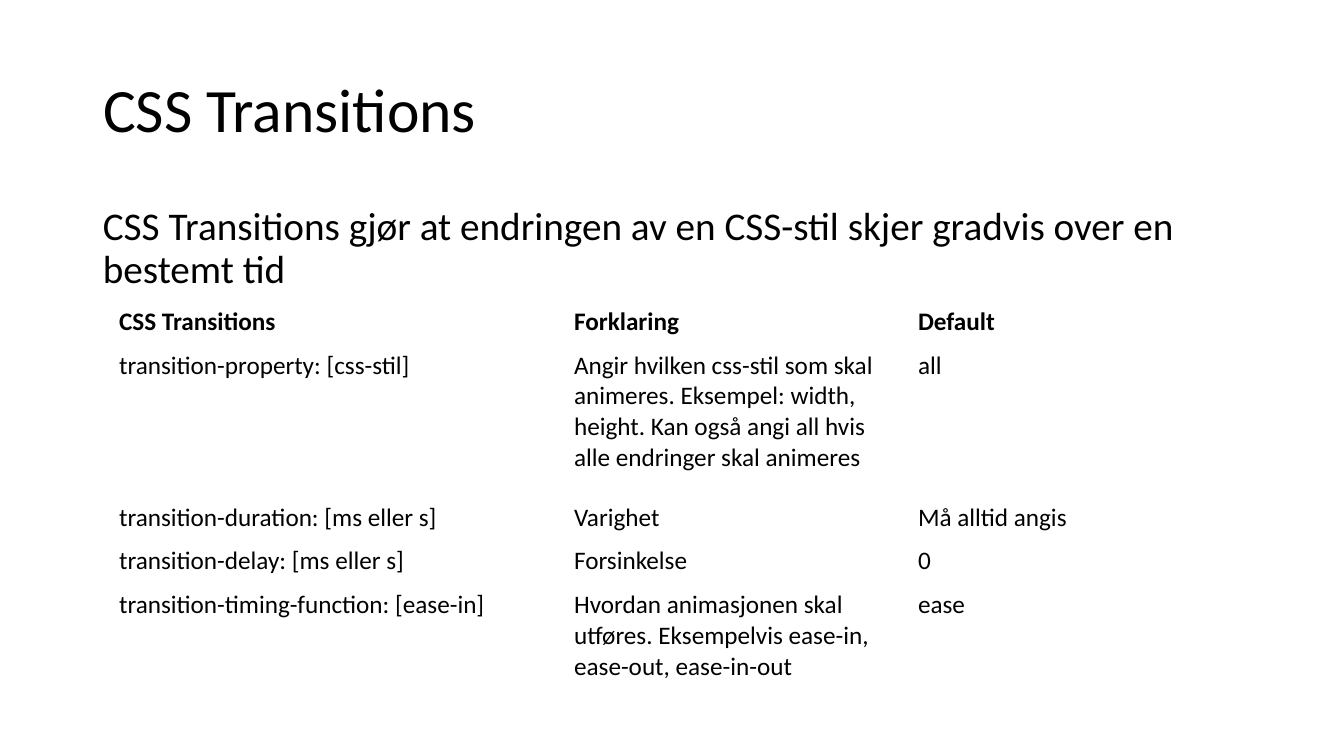
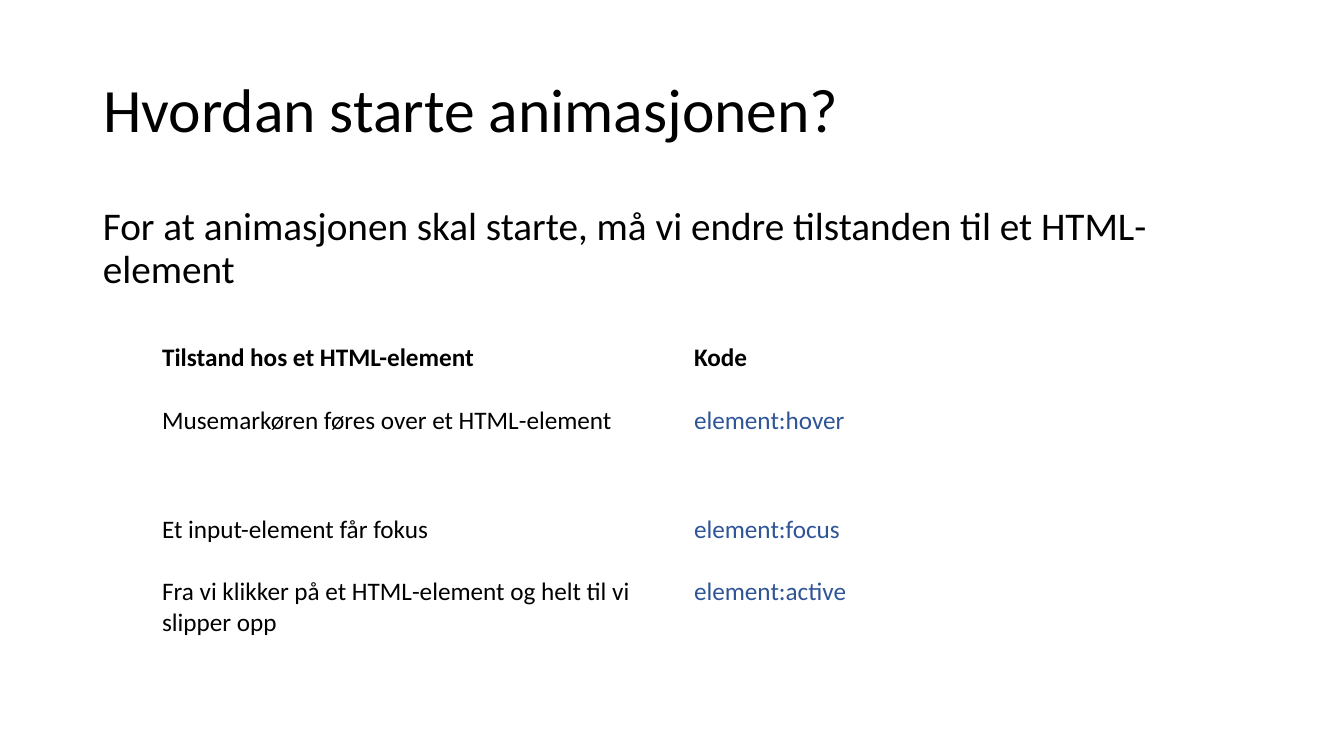
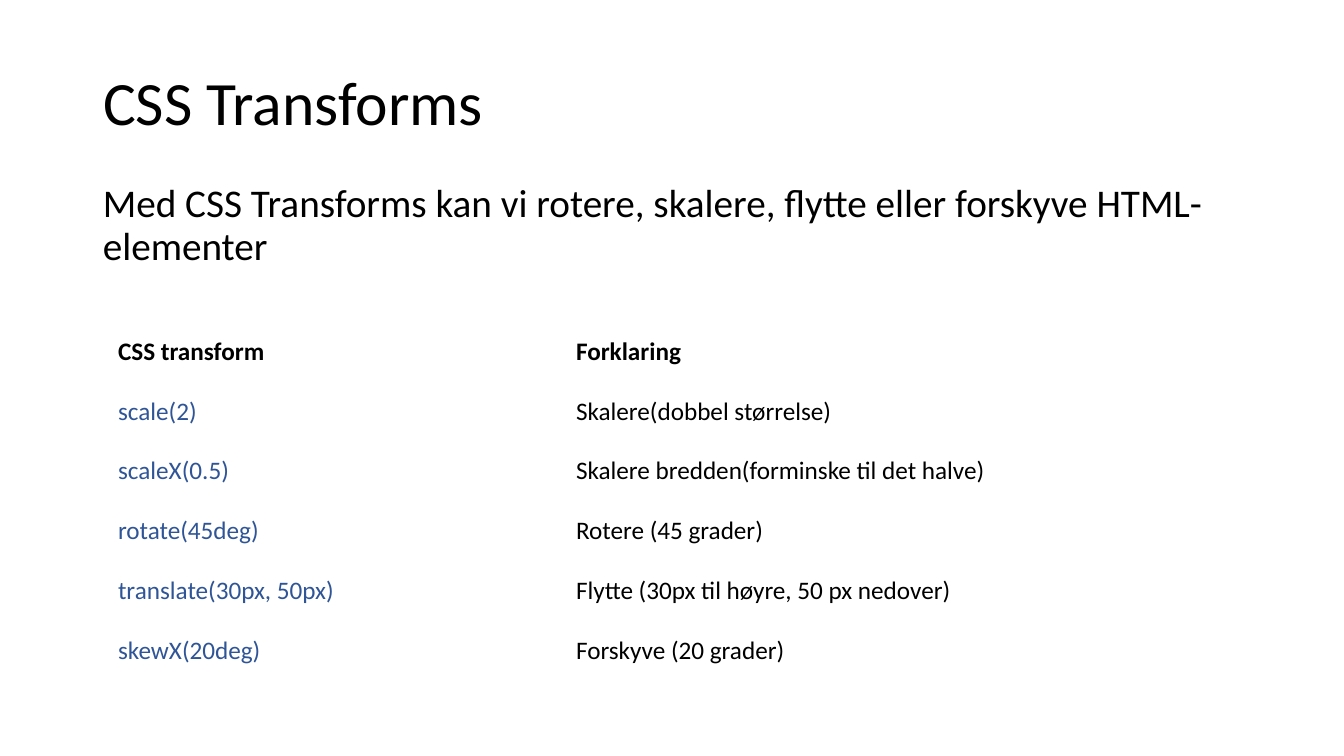
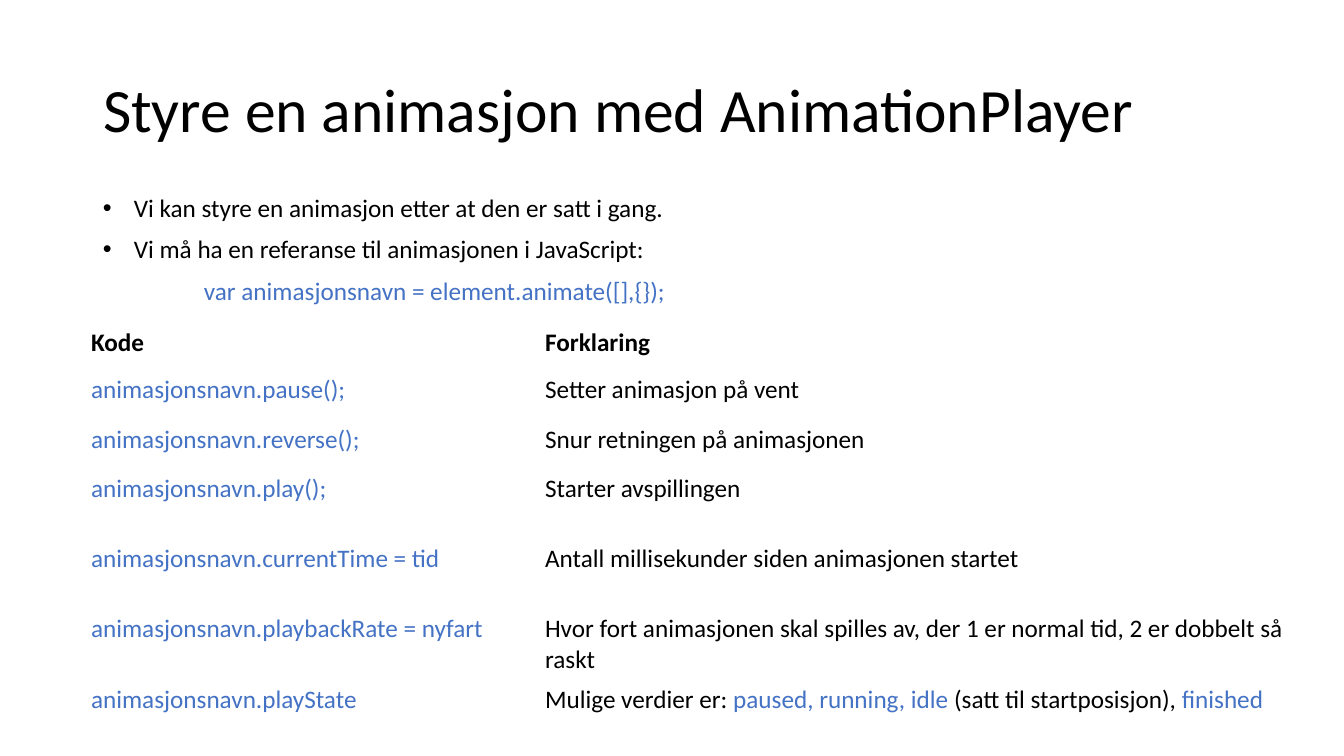
from pptx import Presentation
from pptx.dml.color import RGBColor
from pptx.enum.text import MSO_ANCHOR, MSO_AUTO_SIZE, PP_ALIGN
from pptx.util import Emu, Pt
from lxml import etree

FONT = "Calibri"
BLACK, NAVY, BLUE = "000000", "2F5597", "4472C4"
A = "{http://schemas.openxmlformats.org/drawingml/2006/main}"
LEFT, WIDTH = 93, 1159
INDENT = 31


def px(pixels):
    """Turn whole pixels into EMU."""
    return Emu(round(pixels * 914400 / 100.8))


def write(paragraph, text, size, code_color=BLACK, bold=False):
    """Add text to a paragraph; parts between backticks get the code colour."""
    for i, part in enumerate(text.split("`")):
        if part:
            run = paragraph.add_run()
            run.text = part
            font = run.font
            font.name, font.size, font.bold = FONT, Pt(size), bold
            font.color.rgb = RGBColor.from_string(code_color if i % 2 else BLACK)


# Body paragraphs are (style, text); text between backticks is code.
slides = [
    dict(
        title="CSS Transitions", title_top=40, body=(202, 480), body_size=28, code=NAVY,
        paragraphs=[("plain", "CSS Transitions gjør at endringen av en CSS-stil "
                              "skjer gradvis over en bestemt tid")],
        table_at=(109, 301), cols=[455, 344, 344], rows=[44, 152, 44, 44, 109],
        cells=[
            ("CSS Transitions", "Forklaring", "Default"),
            ("transition-property: [css-stil]",
             "Angir hvilken css-stil som skal animeres. Eksempel: width, height. "
             "Kan også angi all hvis alle endringer skal animeres", "all"),
            ("transition-duration: [ms eller s]", "Varighet", "Må alltid angis"),
            ("transition-delay: [ms eller s]", "Forsinkelse", "0"),
            ("transition-timing-function: [ease-in]",
             "Hvordan animasjonen skal utføres. Eksempelvis ease-in, ease-out, "
             "ease-in-out", "ease"),
        ],
    ),
    dict(
        title="Hvordan starte animasjonen?", title_top=40, body=(202, 480), body_size=28,
        code=NAVY,
        paragraphs=[("plain", "For at animasjonen skal starte, må vi endre tilstanden "
                              "til et HTML-element")],
        table_at=(152, 337), cols=[532, 532], rows=[63, 109, 63, 109],
        cells=[
            ("Tilstand hos et HTML-element", "Kode"),
            ("Musemarkøren føres over et HTML-element", "`element:hover`"),
            ("Et input-element får fokus", "`element:focus`"),
            ("Fra vi klikker på et HTML-element og helt til vi slipper opp",
             "`element:active`"),
        ],
    ),
    dict(
        title="CSS Transforms", title_top=33, body=(179, 480), body_size=28, code=NAVY,
        paragraphs=[("plain", "Med CSS Transforms kan vi rotere, skalere, flytte eller "
                              "forskyve HTML-elementer")],
        table_at=(108, 331), cols=[458, 663], rows=[60] * 6,
        cells=[
            ("CSS transform", "Forklaring"),
            ("`scale(2)`", "Skalere(dobbel størrelse)"),
            ("`scaleX(0.5)`", "Skalere bredden(forminske til det halve)"),
            ("`rotate(45deg)`", "Rotere (45 grader)"),
            ("`translate(30px, 50px)`", "Flytte (30px til høyre, 50 px nedover)"),
            ("`skewX(20deg)`", "Forskyve (20 grader)"),
        ],
    ),
    dict(
        title="Styre en animasjon med AnimationPlayer", title_top=40, body=(191, 127),
        body_size=18, code=BLUE,
        paragraphs=[
            ("bullet", "Vi kan styre en animasjon etter at den er satt i gang."),
            ("bullet", "Vi må ha en referanse til animasjonen i JavaScript:"),
            ("indented", "`var animasjonsnavn = element.animate([],{});`"),
        ],
        table_at=(81, 322), cols=[454, 763], rows=[47] + [50] * 2 + [70] * 4,
        cells=[
            ("Kode", "Forklaring"),
            ("`animasjonsnavn.pause();`", "Setter animasjon på vent"),
            ("`animasjonsnavn.reverse();`", "Snur retningen på animasjonen"),
            ("`animasjonsnavn.play();`", "Starter avspillingen"),
            ("`animasjonsnavn.currentTime = tid`",
             "Antall millisekunder siden animasjonen startet"),
            ("`animasjonsnavn.playbackRate = nyfart`",
             "Hvor fort animasjonen skal spilles av, der 1 er normal tid, "
             "2 er dobbelt så raskt"),
            ("`animasjonsnavn.playState`",
             "Mulige verdier er: `paused, running, idle `"
             "(satt til startposisjon), `finished`"),
        ],
    ),
]

prs = Presentation()
prs.slide_width, prs.slide_height = px(1344), px(756)

for spec in slides:
    slide = prs.slides.add_slide(prs.slide_layouts[5])

    title = slide.shapes.title
    title.left, title.top = px(LEFT), px(spec["title_top"])
    title.width, title.height = px(WIDTH), px(146)
    frame = title.text_frame
    frame.auto_size = MSO_AUTO_SIZE.NONE
    frame.vertical_anchor = MSO_ANCHOR.MIDDLE
    heading = frame.paragraphs[0]
    heading.alignment, heading.line_spacing = PP_ALIGN.LEFT, 0.9
    write(heading, spec["title"], 44)

    body_top, body_height = spec["body"]
    body = slide.shapes.add_textbox(px(LEFT), px(body_top), px(WIDTH), px(body_height))
    body.text_frame.word_wrap = True
    for i, (style, text) in enumerate(spec["paragraphs"]):
        paragraph = body.text_frame.add_paragraph() if i else body.text_frame.paragraphs[0]
        paragraph.line_spacing, paragraph.space_before = 0.9, Pt(10)
        write(paragraph, text, spec["body_size"], spec["code"])
        properties = paragraph._p.get_or_add_pPr()
        if style == "bullet":
            properties.set("marL", str(px(INDENT)))
            properties.set("indent", str(-px(INDENT)))
            etree.SubElement(properties, A + "buFont", typeface="Arial")
            etree.SubElement(properties, A + "buChar", char="•")
        elif style == "indented":
            properties.set("marL", str(px(101)))

    cols, rows = spec["cols"], spec["rows"]
    left, top = spec["table_at"]
    table = slide.shapes.add_table(len(rows), len(cols), px(left), px(top),
                                   px(sum(cols)), px(sum(rows))).table
    table.first_row = table.horz_banding = False
    for column, width in zip(table.columns, cols):
        column.width = px(width)
    for r, (height, texts) in enumerate(zip(rows, spec["cells"])):
        table.rows[r].height = px(height)
        for c, text in enumerate(texts):
            cell = table.cell(r, c)
            cell.fill.background()
            write(cell.text_frame.paragraphs[0], text, 18, spec["code"], bold=r == 0)

prs.save("out.pptx")
